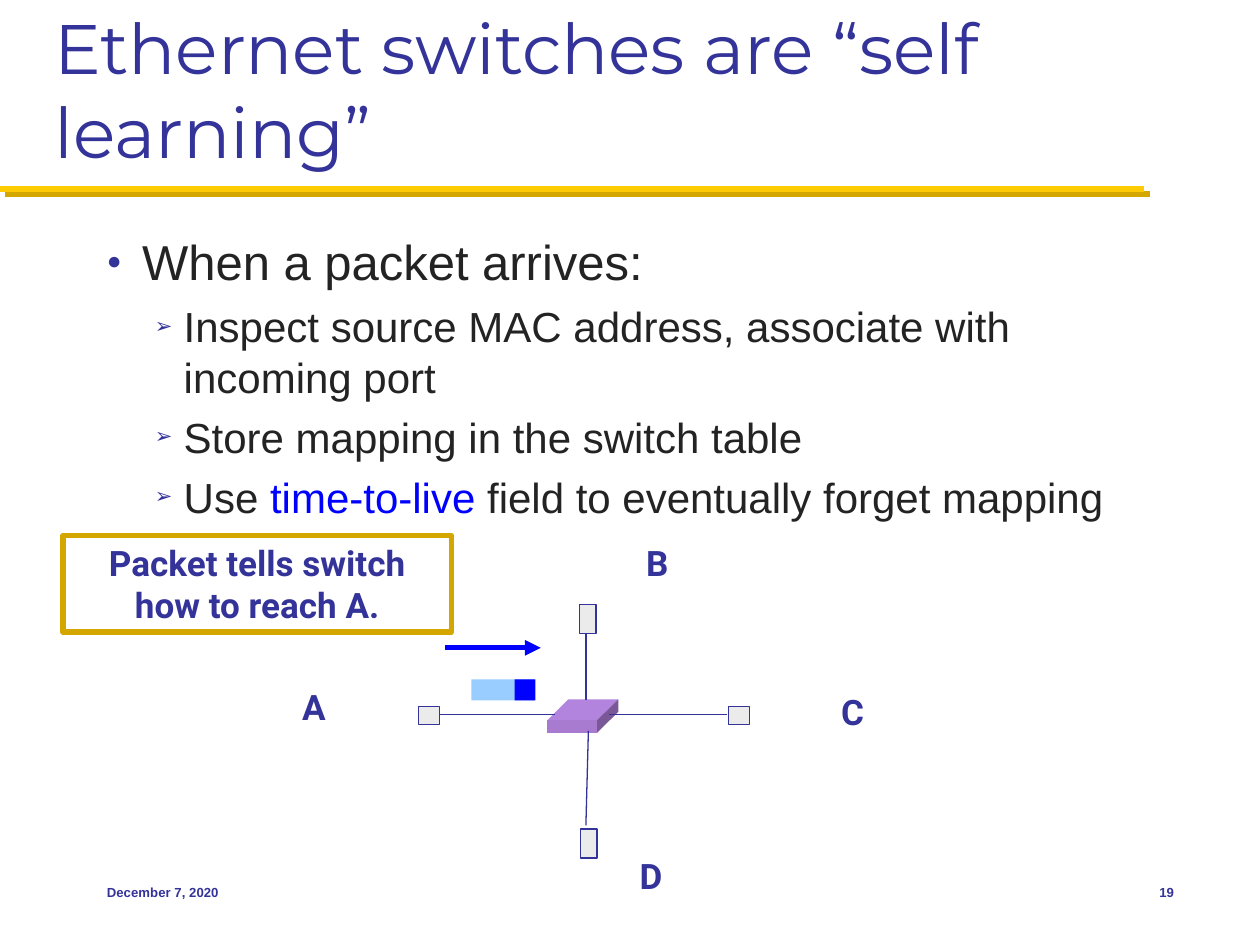
from dataclasses import dataclass

from lxml import etree
from pptx import Presentation, util as u
from pptx.dml.color import RGBColor
from pptx.enum import shapes, text
from pptx.oxml import ns

NAVY = RGBColor(0x33, 0x33, 0x99)
INK = RGBColor(0x23, 0x23, 0x23)
BLUE = RGBColor(0x00, 0x00, 0xFF)
SKY = RGBColor(0x99, 0xCC, 0xFF)
GOLD = RGBColor(0xFF, 0xCB, 0x05)
DARK_GOLD = RGBColor(0xD3, 0xA6, 0x00)
GREY = RGBColor(0xEB, 0xEB, 0xEB)
PURPLE_TOP = RGBColor(0xB2, 0x84, 0xDE)
PURPLE_FRONT = RGBColor(0xA8, 0x7A, 0xD0)
PURPLE_SIDE = RGBColor(0x7A, 0x58, 0x98)

COLUMNS, ROWS = 120, 90
CELL = u.Inches(10) // COLUMNS
LABEL_FORMAT = dict(size=20, font="Roboto", bold=True, align=text.PP_ALIGN.CENTER)


@dataclass
class Box:
    """A rectangle measured in grid cells."""
    left: float
    top: float
    width: float
    height: float

    def inner(self, left, top, width, height):
        """Return a box placed relative to this one."""
        return Box(self.left + left, self.top + top, width, height)

    def point(self, column, row):
        """Return the slide position of a cell of this box."""
        return round((self.left + column) * CELL), round((self.top + row) * CELL)

    def frame(self):
        """Return left, top, width and height as lengths."""
        return (*self.point(0, 0), round(self.width * CELL), round(self.height * CELL))


def write(para, words, *, size, font="Arial", color=NAVY, bold=False, align=None):
    """Add one formatted span to a paragraph."""
    if align is not None:
        para.alignment = align
    span = para.add_run()
    span.text = words
    span.font.size, span.font.name, span.font.bold = u.Pt(size), font, bold
    span.font.color.rgb = color


def add_text(page, box, words, *, anchor=text.MSO_ANCHOR.TOP, wrap=True, **style):
    """Add a text box holding one formatted paragraph."""
    frame = page.shapes.add_textbox(*box.frame()).text_frame
    frame.word_wrap, frame.vertical_anchor = wrap, anchor
    write(frame.paragraphs[0], words, **style)


def paint(shape, fill=None, line=None, width=0.75):
    """Set the fill and outline of a shape and drop its shadow."""
    shape.shadow.inherit = False
    if fill is None:
        shape.fill.background()
    else:
        shape.fill.solid()
        shape.fill.fore_color.rgb = fill
    if line is None:
        shape.line.fill.background()
    else:
        shape.line.color.rgb = line
        shape.line.width = u.Pt(width)


def add_rect(page, box, **look):
    """Add a painted rectangle."""
    shape = page.shapes.add_shape(shapes.MSO_SHAPE.RECTANGLE, *box.frame())
    paint(shape, **look)
    return shape


def add_line(page, box, start, end, color=NAVY, width=0.75, arrow=False):
    """Add a straight line between two cells of a box."""
    line = page.shapes.add_connector(
        shapes.MSO_CONNECTOR.STRAIGHT, *box.point(*start), *box.point(*end))
    line.line.color.rgb = color
    line.line.width = u.Pt(width)
    if arrow:
        etree.SubElement(line.line._get_or_add_ln(), ns.qn("a:tailEnd"), type="triangle")
    etree.SubElement(line._element.spPr, ns.qn("a:effectLst"))


def set_bullet(para, symbol, margin, hang):
    """Give a paragraph a half-size navy bullet and a hanging indent."""
    props = para._p.get_or_add_pPr()
    props.set("marL", str(u.Inches(margin)))
    props.set("indent", str(-u.Inches(hang)))
    color = etree.SubElement(props, ns.qn("a:buClr"))
    etree.SubElement(color, ns.qn("a:srgbClr"), val=str(NAVY))
    etree.SubElement(props, ns.qn("a:buSzPct"), val="50000")
    etree.SubElement(props, ns.qn("a:buFont"), typeface="Arial")
    etree.SubElement(props, ns.qn("a:buChar"), char=symbol)


def add_header(page, box):
    """Place the title and the gold rule with its darker edge."""
    for shift, color in ((0.5, DARK_GOLD), (0, GOLD)):
        row = box.height + shift
        add_line(page, box, (shift, row), (109 + shift, row), color, 3.5)
    add_text(page, box.inner(4, 2, 112, 15), "Ethernet switches are “self learning”",
             anchor=text.MSO_ANCHOR.BOTTOM, size=40, font="Montserrat")


def add_body(page, box):
    """Place the bulleted list."""
    frame = page.shapes.add_textbox(*box.frame()).text_frame
    frame.word_wrap = True
    heading = frame.paragraphs[0]
    set_bullet(heading, "●", 0.28, 0.28)
    write(heading, "When a packet arrives:", size=28, color=INK)
    steps = (
        [("Inspect source MAC address, associate with incoming port", INK)],
        [("Store mapping in the switch table", INK)],
        [("Use ", INK), ("time-to-live", BLUE),
         (" field to eventually forget mapping", INK)],
    )
    for step in steps:
        para = frame.add_paragraph()
        para.level = 1
        para.space_before = u.Pt(5.6)
        set_bullet(para, "➢", 0.61, 0.23)
        for words, color in step:
            write(para, words, size=24, color=color)


def add_switch(page, box):
    """Draw the switch as a slab with top, side and front faces."""
    wide, high = box.width, box.height
    edge, depth = 0.7 * wide, 0.63 * high
    faces = (
        (PURPLE_TOP, [(0, depth), (wide - edge, 0), (wide, 0), (edge, depth)]),
        (PURPLE_SIDE, [(edge, depth), (wide, 0), (wide, high - depth), (edge, high)]),
        (PURPLE_FRONT, [(0, depth), (edge, depth), (edge, high), (0, high)]),
    )
    for color, corners in faces:
        first, *others = [box.point(*corner) for corner in corners]
        outline = page.shapes.build_freeform(*first, scale=1)
        outline.add_line_segments(others)
        paint(outline.convert_to_shape(), fill=color)


def add_network(page, box):
    """Place the switch, its four hosts, their links and the moving packet."""
    add_switch(page, box.inner(25.1, 15.6, 6.8, 3.2))
    flat, tall = (2.04, 1.68), (1.56, 2.76)
    hosts = (
        ("A", (0.5, 13.7), (12.84, 16.3), flat, (14.9, 17.04), (25.9, 17.04)),
        ("B", (33.2, 0), (28.2, 6.6), tall, (28.8, 9.4), (28.8, 15.7)),
        ("C", (51.8, 14.2), (42.36, 16.3), flat, (42.2, 17.04), (31, 17.04)),
        ("D", (32.6, 29.8), (28.3, 27.96), tall, (28.8, 27.6), (29.04, 18.6)),
    )
    for name, label, corner, size, start, end in hosts:
        add_rect(page, box.inner(*corner, *size), fill=GREY, line=NAVY)
        add_line(page, box, start, end)
        add_text(page, box.inner(*label, 4.8, 5.2), name, wrap=False, **LABEL_FORMAT)
    add_rect(page, box.inner(17.9, 13.7, 6, 2), fill=SKY)
    add_rect(page, box.inner(22, 13.7, 2, 2), fill=BLUE)
    add_line(page, box, (15.4, 10.7), (24.5, 10.7), BLUE, 3, arrow=True)


def add_callout(page, box):
    """Place the framed remark."""
    frame = add_rect(page, box, line=DARK_GOLD, width=3).text_frame
    frame.word_wrap, frame.vertical_anchor = True, text.MSO_ANCHOR.TOP
    write(frame.paragraphs[0], "Packet tells switch how to reach A.", **LABEL_FORMAT)


def add_footer(page, box):
    """Place the date and the page number."""
    style = dict(anchor=text.MSO_ANCHOR.MIDDLE, size=7.5, bold=True)
    add_text(page, box.inner(0, 0, 25, box.height), "December 7, 2020", **style)
    add_text(page, box.inner(box.width - 8, 0, 8, box.height), "19",
             align=text.PP_ALIGN.RIGHT, **style)


def main():
    """Build and save the slide."""
    deck = Presentation()
    deck.slide_width, deck.slide_height = COLUMNS * CELL, ROWS * CELL
    page = deck.slides.add_slide(deck.slide_layouts[6])
    add_header(page, Box(0, 0, COLUMNS, 18))
    add_body(page, Box(9, 21.5, 104, 58))
    add_network(page, Box(27, 51, 57, 35))
    add_callout(page, Box(6, 51, 37, 9.2))
    add_footer(page, Box(9, 82, 104, 6))
    deck.save("out.pptx")


if __name__ == "__main__":
    main()
